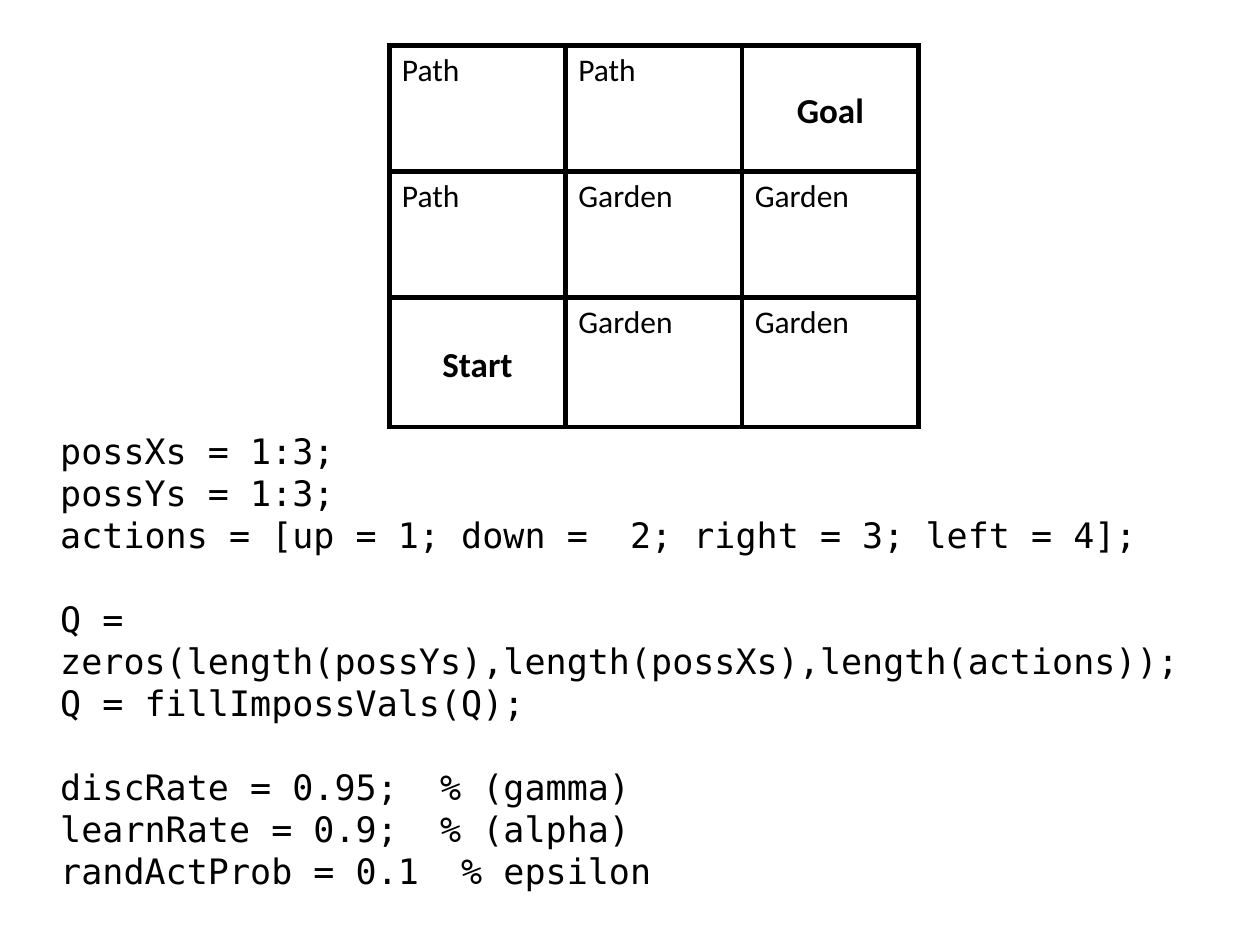
from lxml import etree
from pptx import Presentation
from pptx import util as u
from pptx.dml.color import RGBColor
from pptx.enum import text as t
from pptx.oxml.ns import qn

BLACK = "000000"
GRID = [
    ["Path", "Path", "Goal"],
    ["Path", "Garden", "Garden"],
    ["Start", "Garden", "Garden"],
]
CODE = [
    ["possXs = 1:3;",
     "possYs = 1:3;",
     "actions = [up = 1; down =  2; right = 3; left = 4];"],
    ["Q = zeros(length(possYs),length(possXs),length(actions));",
     "Q = fillImpossVals(Q);"],
    ["discRate = 0.95;  % (gamma)",
     "learnRate = 0.9;  % (alpha)",
     "randActProb = 0.1  % epsilon"],
]


def color(code):
    return RGBColor.from_string(code)


def write(par, words, size=18, font="Calibri", bold=False, align=None, gap=0):
    par.alignment = align
    par.space_before = u.Pt(gap)
    run = par.add_run()
    run.text = words
    run.font.size = u.Pt(size)
    run.font.name = font
    run.font.bold = bold
    run.font.color.rgb = color(BLACK)


def border(cell, width=3):
    props = cell._tc.get_or_add_tcPr()
    for index, side in enumerate(("lnL", "lnR", "lnT", "lnB")):
        line = etree.Element(qn("a:" + side), w=str(u.Pt(width)))
        fill = etree.SubElement(line, qn("a:solidFill"))
        etree.SubElement(fill, qn("a:srgbClr"), val=BLACK)
        props.insert(index, line)


def maze(slide, left, top, width, heights):
    """Draw the grid world, with its start and goal centred in bold."""
    count = len(GRID[0])
    table = slide.shapes.add_table(
        len(GRID), count, u.Inches(left), u.Inches(top),
        u.Inches(width), u.Inches(sum(heights))).table
    table.first_row = table.horz_banding = False
    for col in table.columns:
        col.width = u.Inches(width / count)
    for row, height, names in zip(table.rows, heights, GRID):
        row.height = u.Inches(height)
        for cell, name in zip(row.cells, names):
            cell.fill.background()
            border(cell)
            par = cell.text_frame.paragraphs[0]
            if name in ("Start", "Goal"):
                cell.vertical_anchor = t.MSO_ANCHOR.MIDDLE
                cell.margin_top = u.Inches(0.1)
                write(par, name, size=20, bold=True, align=t.PP_ALIGN.CENTER)
            else:
                write(par, name)


def code(slide, left, top, width, height):
    """Place the code, with one line of space between its groups."""
    box = slide.shapes.add_textbox(*map(u.Inches, (left, top, width, height)))
    frame = box.text_frame
    frame.word_wrap = True
    frame.auto_size = t.MSO_AUTO_SIZE.SHAPE_TO_FIT_TEXT
    par = frame.paragraphs[0]
    for part, group in enumerate(CODE):
        for row, line in enumerate(group):
            if part or row:
                par = frame.add_paragraph()
            gap = 24 if part and not row else 0
            write(par, line, size=20, font="DejaVu Sans Mono", gap=gap)


def main():
    deck = Presentation()
    deck.slide_width, deck.slide_height = u.Inches(10), u.Inches(7.5)
    slide = deck.slides.add_slide(deck.slide_layouts.get_by_name("Blank"))
    code(slide, 0.38, 3.36, 9.23, 3.8)
    maze(slide, 3.09, 0.36, 4.2, [1, 1, 1.03])
    deck.save("out.pptx")


if __name__ == "__main__":
    main()
